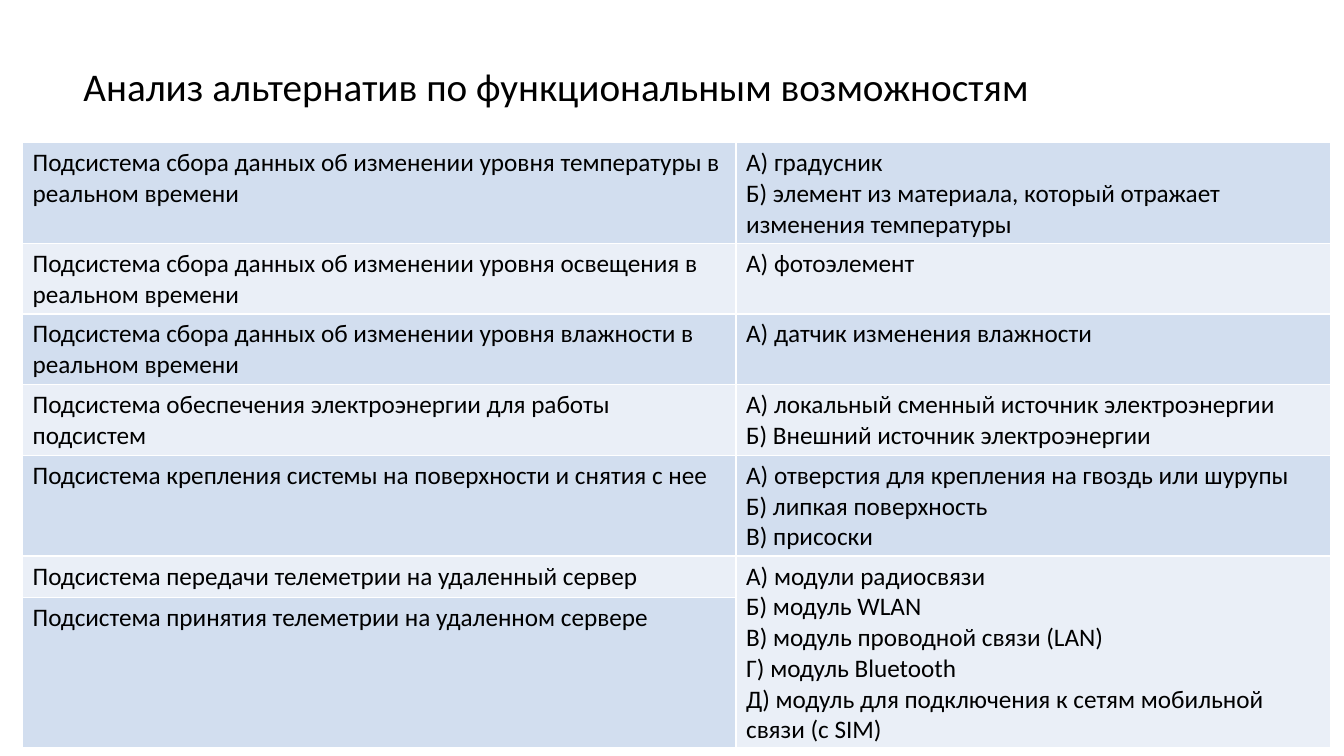
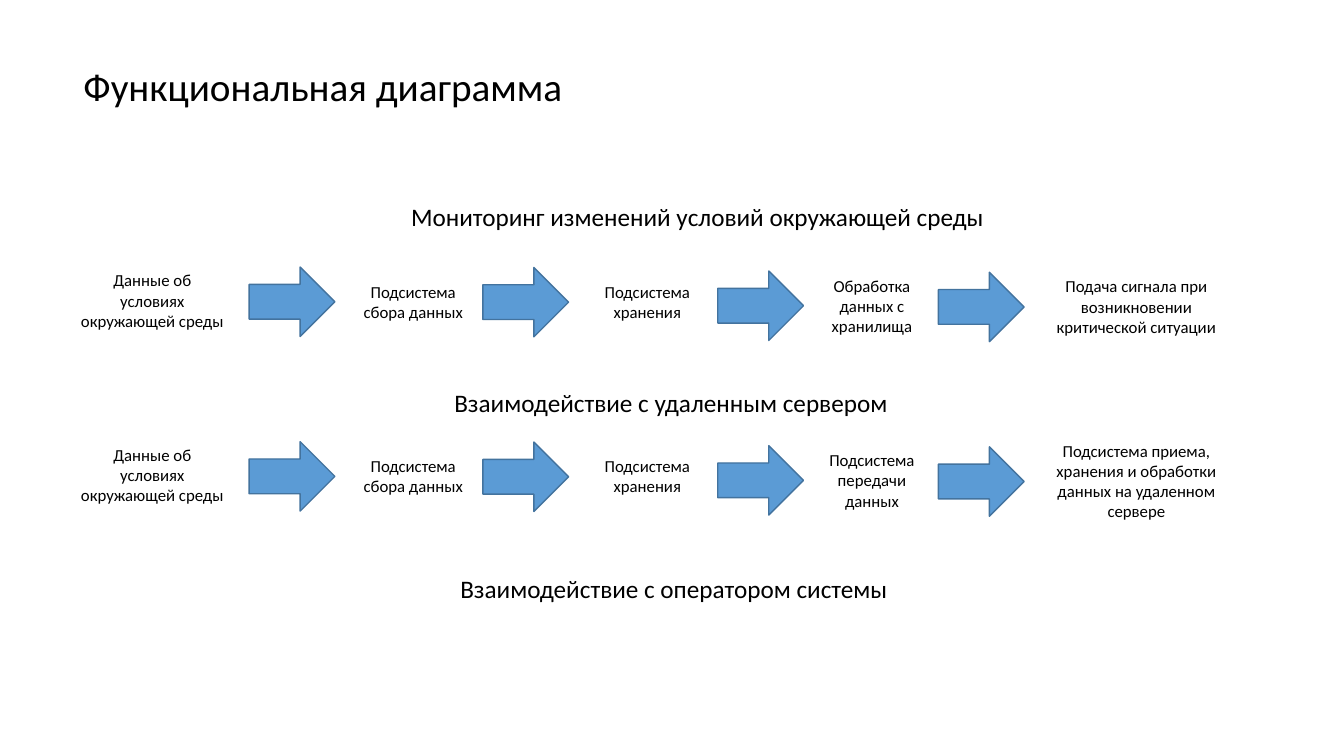
import lxml.etree
import pptx
import pptx.dml.color
import pptx.enum.shapes
import pptx.enum.text
import pptx.oxml.ns
import pptx.util

Cm = pptx.util.Cm
Pt = pptx.util.Pt
ALIGN = pptx.enum.text.PP_ALIGN
ANCHOR = pptx.enum.text.MSO_ANCHOR
AUTO_SIZE = pptx.enum.text.MSO_AUTO_SIZE

COLORS = {
    "text": "000000",
    "band_dark": "D2DEEF",
    "band_light": "EAEFF7",
    "border": "FFFFFF",
    "arrow": "5B9BD5",
    "arrow_line": "43739E",
}
FONTS = {
    "title": {"name": "Calibri", "size": Pt(28)},
    "body": {"name": "Calibri", "size": Pt(18)},
    "step": {"name": "Calibri", "size": Pt(12)},
}
LINE_FRAME = {"word_wrap": False, "vertical_anchor": ANCHOR.TOP, "auto_size": AUTO_SIZE.SHAPE_TO_FIT_TEXT}
STEP_FRAME = {"word_wrap": True, "vertical_anchor": ANCHOR.MIDDLE, "auto_size": AUTO_SIZE.NONE}

ALTERNATIVES = [
    ("Подсистема сбора данных об изменении уровня температуры в реальном времени",
     "А) градусник\nБ) элемент из материала, который отражает изменения температуры"),
    ("Подсистема сбора данных об изменении уровня освещения в реальном времени",
     "А) фотоэлемент"),
    ("Подсистема сбора данных об изменении уровня влажности в реальном времени",
     "А) датчик изменения влажности"),
    ("Подсистема обеспечения электроэнергии для работы подсистем",
     "А) локальный сменный источник электроэнергии\nБ) Внешний источник электроэнергии"),
    ("Подсистема крепления системы на поверхности и снятия с нее",
     "А) отверстия для крепления на гвоздь или шурупы\nБ) липкая поверхность\nВ) присоски"),
    ("Подсистема передачи телеметрии на удаленный сервер",
     "А) модули радиосвязи\nБ) модуль WLAN\nВ) модуль проводной связи (LAN)\n"
     "Г) модуль Bluetooth\nД) модуль для подключения к сетям мобильной связи (с SIM)"),
    ("Подсистема принятия телеметрии на удаленном сервере", ""),
]
COLUMN_WIDTHS = [17.98, 14.99]
ROW_HEIGHTS = [2.54, 1.78, 1.78, 1.78, 2.54, 1.04, 3.78]

CAPTIONS = [
    ("Мониторинг изменений условий окружающей среды", 10.11, 4.95, 16.23),
    ("Взаимодействие с удаленным сервером", 11.2, 9.63, 12.55),
    ("Взаимодействие с оператором системы", 11.35, 14.33, 12.4),
]
COMMON_STEPS = ["Данные об\nусловиях окружающей среды", "Подсистема сбора данных", "Подсистема хранения"]
FLOWS = [
    (6.73, COMMON_STEPS + ["Обработка данных с хранилища",
                           "Подача сигнала при возникновении критической ситуации"]),
    (11.13, COMMON_STEPS + ["Подсистема передачи данных",
                            "Подсистема приема, хранения и обработки данных на удаленном сервере"]),
]
STEP_PLACES = [(0, 0, 4.22), (6.93, 0.03, 3.51), (12.83, 0.03, 3.51), (18.49, 0.13, 3.51), (24.56, 0.15, 4.7)]
ARROW_PLACES = [(4.55, 0), (10.44, 0.01), (16.36, 0.1), (21.92, 0.13)]


def color(name):
    """Return the named palette colour."""
    return pptx.dml.color.RGBColor.from_string(COLORS[name])


def apply_format(target, values):
    """Set each attribute of the target from a dict."""
    for name, value in values.items():
        setattr(target, name, value)


def write_text(text_frame, text, style, alignment=ALIGN.LEFT):
    """Write one formatted paragraph, keeping its line breaks."""
    paragraph = text_frame.paragraphs[0]
    paragraph.text = text
    paragraph.alignment = alignment
    for run in paragraph.runs:
        apply_format(run.font, FONTS[style])
        run.font.color.rgb = color("text")
    for line_break in paragraph._p.findall(pptx.oxml.ns.qn("a:br")):
        properties = lxml.etree.SubElement(line_break, pptx.oxml.ns.qn("a:rPr"))
        properties.set("sz", str(FONTS[style]["size"].centipoints))


def add_titled_slide(presentation, title, width):
    """Add a slide with the shared title style."""
    slide = presentation.slides.add_slide(presentation.slide_layouts[5])
    shape = slide.shapes.title
    apply_format(shape, {"left": Cm(1.85), "top": Cm(1.45), "width": Cm(width), "height": Cm(1.6)})
    apply_format(shape.text_frame, LINE_FRAME)
    write_text(shape.text_frame, title, "title")
    return slide


def add_text(slide, box, text, style, frame, alignment=ALIGN.LEFT):
    """Add a text box in a box given in centimetres."""
    shape = slide.shapes.add_textbox(*map(Cm, box))
    apply_format(shape.text_frame, frame)
    write_text(shape.text_frame, text, style, alignment)


def style_cell(cell, fill):
    """Give a cell its borders and fill."""
    properties = cell._tc.get_or_add_tcPr()
    for side in ("a:lnL", "a:lnR", "a:lnT", "a:lnB"):
        line = lxml.etree.SubElement(properties, pptx.oxml.ns.qn(side), w=str(Pt(1)))
        solid = lxml.etree.SubElement(line, pptx.oxml.ns.qn("a:solidFill"))
        lxml.etree.SubElement(solid, pptx.oxml.ns.qn("a:srgbClr"), val=COLORS["border"])
    cell.fill.solid()
    cell.fill.fore_color.rgb = color(fill)


def add_alternatives_table(slide, left, top):
    """Add the banded table of subsystems and their alternatives."""
    table = slide.shapes.add_table(
        len(ALTERNATIVES), len(COLUMN_WIDTHS), Cm(left), Cm(top),
        Cm(sum(COLUMN_WIDTHS)), Cm(sum(ROW_HEIGHTS))).table
    apply_format(table, {"first_row": False, "horz_banding": False})
    for column, width in zip(table.columns, COLUMN_WIDTHS):
        column.width = Cm(width)
    for row_index, texts in enumerate(ALTERNATIVES):
        table.rows[row_index].height = Cm(ROW_HEIGHTS[row_index])
        for column_index, text in enumerate(texts):
            cell = table.cell(row_index, column_index)
            style_cell(cell, "band_light" if row_index % 2 else "band_dark")
            write_text(cell.text_frame, text, "body")
    table.cell(5, 1).merge(table.cell(6, 1))


def add_arrow(slide, left, top):
    """Add one block arrow between two steps."""
    arrow = slide.shapes.add_shape(
        pptx.enum.shapes.MSO_SHAPE.RIGHT_ARROW, Cm(left), Cm(top), Cm(2.16), Cm(1.75))
    arrow.shadow.inherit = False
    arrow.fill.solid()
    arrow.fill.fore_color.rgb = color("arrow")
    arrow.line.color.rgb = color("arrow_line")
    arrow.line.width = Pt(1)


def add_flow(slide, left, top, steps):
    """Add a chain of steps joined by block arrows."""
    for text, (offset, drop, width) in zip(steps, STEP_PLACES):
        add_text(slide, (left + offset, top + drop, width, 1.68), text, "step", STEP_FRAME, ALIGN.CENTER)
    for offset, drop in ARROW_PLACES:
        add_arrow(slide, left + offset, top + drop)


def build_alternatives(presentation):
    """Build the slide comparing alternatives."""
    slide = add_titled_slide(presentation, "Анализ альтернатив по функциональным возможностям", 27.08)
    add_alternatives_table(slide, 0.57, 3.59)


def build_diagram(presentation):
    """Build the functional diagram slide."""
    slide = add_titled_slide(presentation, "Функциональная диаграмма", 13.84)
    for text, left, top, width in CAPTIONS:
        add_text(slide, (left, top, width, 1.12), text, "body", LINE_FRAME)
    for top, steps in FLOWS:
        add_flow(slide, 1.73, top, steps)


def main():
    """Build and save the presentation."""
    presentation = pptx.Presentation()
    apply_format(presentation, {"slide_width": Cm(33.87), "slide_height": Cm(19.05)})
    build_alternatives(presentation)
    build_diagram(presentation)
    presentation.save("out.pptx")


if __name__ == "__main__":
    main()
